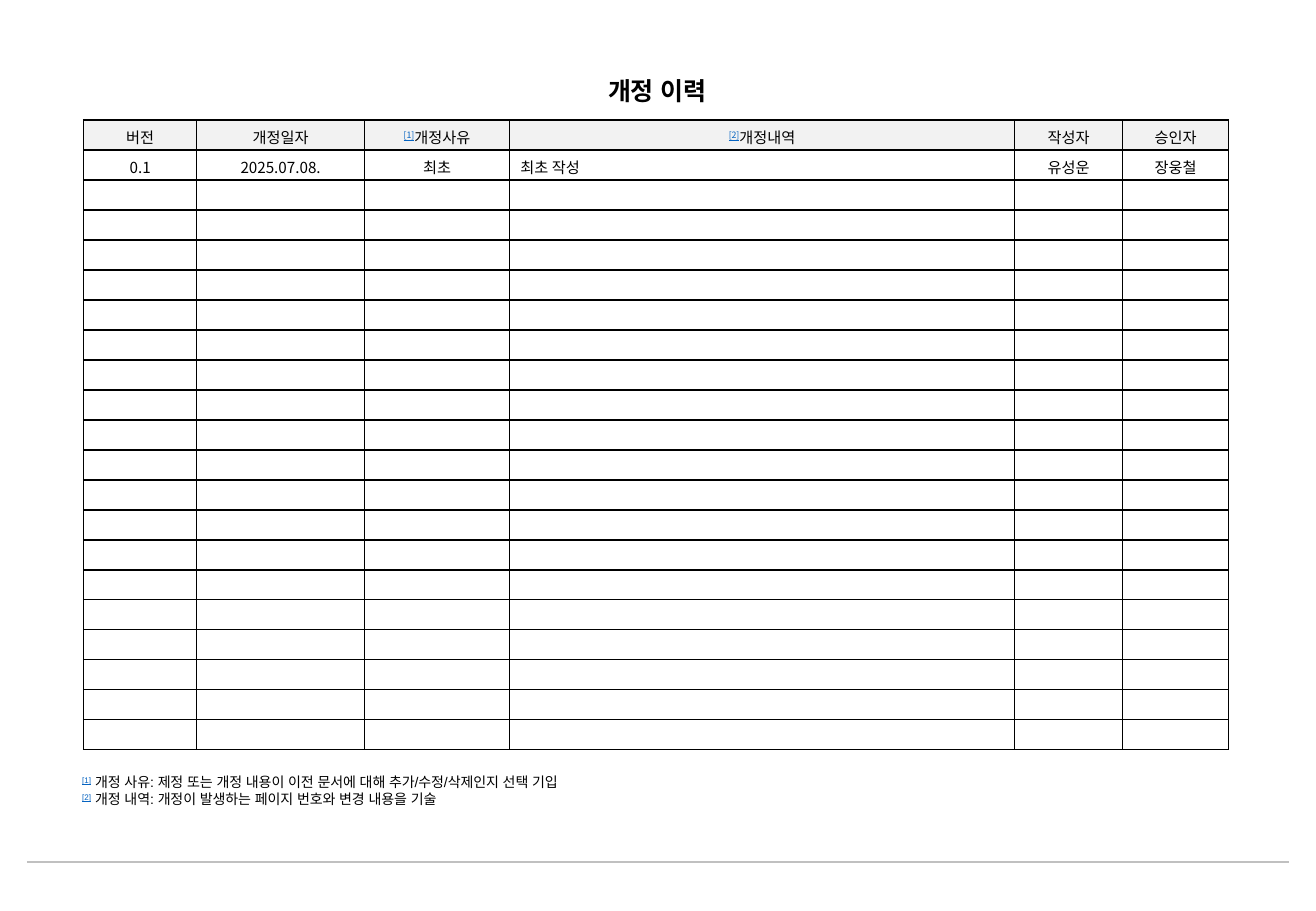
from lxml.etree import SubElement
from pptx import Presentation
from pptx.dml.color import RGBColor
from pptx.enum.shapes import MSO_CONNECTOR as Connector
from pptx.enum.text import MSO_ANCHOR as Anchor, MSO_AUTO_SIZE as AutoSize, PP_ALIGN as Align
from pptx.oxml.ns import qn
from pptx.util import Cm, Pt

COLORS = {"ink": "000000", "mark": "0563C1", "header": "F2F2F2", "rule": "C0C0C0"}
TEXT_FONT = "Arial"
TABLE_FONT = "Noto Sans CJK KR"
TABLE_SIZE = 9
ROW_COUNT = 21
COLUMN_WIDTHS = [2.36, 3.51, 3.03, 10.56, 2.26, 2.21]
DETAIL_COLUMN = 3
HISTORY = [
    [("", "버전"), ("", "개정일자"), ("[1]", "개정사유"),
     ("[2]", "개정내역"), ("", "작성자"), ("", "승인자")],
    [("", "0.1"), ("", "2025.07.08."), ("", "최초"),
     ("", "최초 작성"), ("", "유성운"), ("", "장웅철")],
]
FOOTNOTES = [
    ("[1]", " 개정 사유: 제정 또는 개정 내용이 이전 문서에 대해 추가/수정/삭제인지 선택 기입"),
    ("[2]", " 개정 내역: 개정이 발생하는 페이지 번호와 변경 내용을 기술"),
]


def rgb(name):
    """Return the named colour."""
    return RGBColor.from_string(COLORS[name])


def add_run(paragraph, words, font, size, bold=False, mark=False):
    """Add one run, raised and underlined when it is a footnote mark."""
    run = paragraph.add_run()
    run.text = words
    run.font.name = font
    run.font.size = Pt(size)
    run.font.bold = bold
    run.font.underline = mark
    run.font.color.rgb = rgb("mark" if mark else "ink")
    properties = run._r.get_or_add_rPr()
    SubElement(properties, qn("a:ea")).set("typeface", font)
    if mark:
        properties.set("baseline", "30000")


def add_marked_text(paragraph, mark, words, font, size, bold=False):
    """Add an optional footnote mark followed by its words."""
    if mark:
        add_run(paragraph, mark, font, size, mark=True)
    add_run(paragraph, words, font, size, bold)


def add_text(slide, left, top, width, height, lines, size, align=Align.LEFT, bold=False):
    """Add a text box with one paragraph for each line."""
    box = slide.shapes.add_textbox(Cm(left), Cm(top), Cm(width), Cm(height))
    frame = box.text_frame
    frame.word_wrap = False
    frame.auto_size = AutoSize.SHAPE_TO_FIT_TEXT
    frame.vertical_anchor = Anchor.MIDDLE
    for index, (mark, words) in enumerate(lines):
        paragraph = frame.add_paragraph() if index else frame.paragraphs[0]
        paragraph.alignment = align
        add_marked_text(paragraph, mark, words, TEXT_FONT, size, bold)


def add_borders(cell):
    """Draw a thin border on all four sides of a cell."""
    properties = cell._tc.get_or_add_tcPr()
    for position, side in enumerate(("lnL", "lnR", "lnT", "lnB")):
        border = SubElement(properties, qn(f"a:{side}"))
        border.set("w", str(Pt(1)))
        fill = SubElement(border, qn("a:solidFill"))
        SubElement(fill, qn("a:srgbClr")).set("val", COLORS["ink"])
        properties.insert(position, border)


def format_cell(cell, is_header):
    """Set the fill, borders, margins and anchor of a cell."""
    if is_header:
        cell.fill.solid()
        cell.fill.fore_color.rgb = rgb("header")
    else:
        cell.fill.background()
    add_borders(cell)
    cell.margin_left = cell.margin_right = Cm(0.23)
    cell.margin_top, cell.margin_bottom = Cm(0.08), Cm(0.02)
    cell.vertical_anchor = Anchor.MIDDLE


def add_history_table(slide):
    """Add the revision table with its blank rows."""
    height = Cm(13.18)
    table = slide.shapes.add_table(
        ROW_COUNT, len(COLUMN_WIDTHS), Cm(1.75), Cm(2.51),
        Cm(sum(COLUMN_WIDTHS)), height).table
    table.horz_banding = False
    table.first_row = False
    for column, width in zip(table.columns, COLUMN_WIDTHS):
        column.width = Cm(width)
    for row_index, row in enumerate(table.rows):
        row.height = height // ROW_COUNT
        for column_index, cell in enumerate(row.cells):
            format_cell(cell, row_index == 0)
            paragraph = cell.text_frame.paragraphs[0]
            if row_index < len(HISTORY):
                is_detail = row_index > 0 and column_index == DETAIL_COLUMN
                paragraph.alignment = Align.LEFT if is_detail else Align.CENTER
                mark, words = HISTORY[row_index][column_index]
                add_marked_text(paragraph, mark, words, TABLE_FONT, TABLE_SIZE)
            else:
                ending = SubElement(paragraph._p, qn("a:endParaRPr"))
                ending.set("sz", str(TABLE_SIZE * 100))


def add_footer_rule(slide):
    """Add the grey rule at the foot of the page."""
    rule = slide.shapes.add_connector(
        Connector.STRAIGHT, Cm(0.56), Cm(18.03), Cm(26.95), Cm(18.03))
    rule.line.color.rgb = rgb("rule")
    rule.line.width = Pt(1.5)
    SubElement(rule._element.spPr, qn("a:effectLst"))


def main():
    """Build the revision history page."""
    deck = Presentation()
    deck.slide_width, deck.slide_height = Cm(27.51), Cm(19.05)
    slide = deck.slides.add_slide(deck.slide_layouts[6])
    add_footer_rule(slide)
    add_text(slide, 1.47, 16.05, 11.73, 0.97, FOOTNOTES, 8.3)
    add_text(slide, 12.37, 1.45, 2.74, 0.89, [("", "개정 이력")], 14.8, Align.CENTER, True)
    add_history_table(slide)
    deck.save("out.pptx")


if __name__ == "__main__":
    main()
